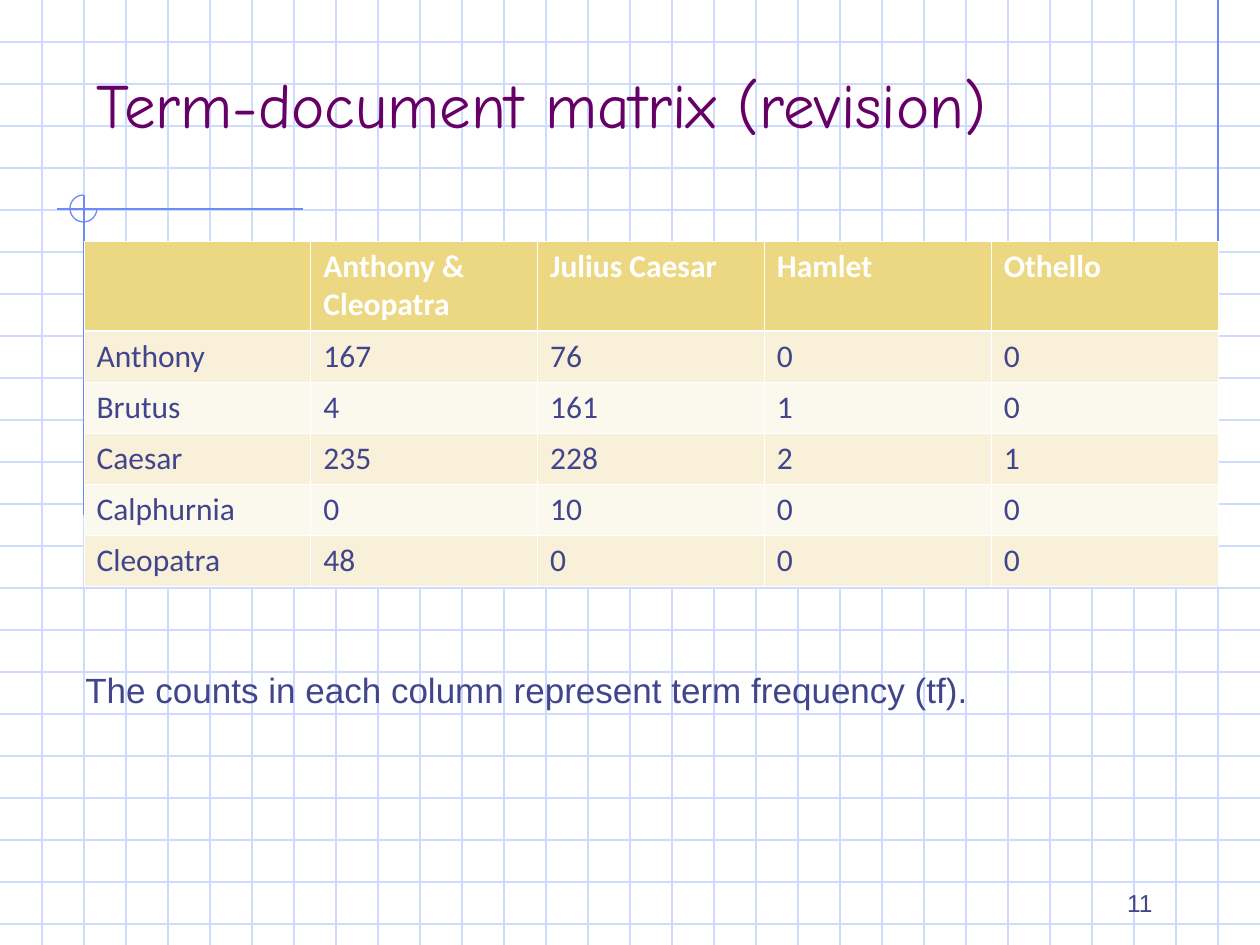
from dataclasses import dataclass

from lxml import etree
from pptx import Presentation
from pptx.dml.color import RGBColor
from pptx.enum.shapes import MSO_CONNECTOR, MSO_SHAPE
from pptx.enum.text import MSO_ANCHOR, PP_ALIGN
from pptx.oxml.ns import qn
from pptx.util import Pt

STRAIGHT = MSO_CONNECTOR.STRAIGHT
ARC = MSO_SHAPE.ARC
TOP, BASE = MSO_ANCHOR.TOP, MSO_ANCHOR.BOTTOM
LEFT, RIGHT = PP_ALIGN.LEFT, PP_ALIGN.RIGHT

WIDE, HIGH, STEP = 1260, 945, 42


@dataclass(frozen=True)
class Theme:
    grid: str = "CFDBFD"
    rule: str = "6F89F7"
    title: str = "660066"
    ink: str = "40458C"
    white: str = "FFFFFF"
    head: str = "ECD882"
    odd: str = "F8F0D8"
    even: str = "FBF8ED"
    fancy: str = "Comic Neue"
    sans: str = "Arial"
    cells: str = "Calibri"
    big: int = 36
    body: int = 20
    cell: int = 18
    small: int = 14
    line: float = 0.75
    thin: float = 0.45
    thick: float = 1.47


@dataclass(frozen=True)
class Box:
    x: int
    y: int
    w: int
    h: int


@dataclass(frozen=True)
class Rule:
    x1: int
    y1: int
    x2: int
    y2: int
    color: str


THEME = Theme()
ROWS = [
    ("", "Anthony & Cleopatra", "Julius Caesar", "Hamlet", "Othello"),
    ("Anthony", "167", "76", "0", "0"),
    ("Brutus", "4", "161", "1", "0"),
    ("Caesar", "235", "228", "2", "1"),
    ("Calphurnia", "0", "10", "0", "0"),
    ("Cleopatra", "48", "0", "0", "0"),
]
RULES = [
    *(Rule(0, y, WIDE, y, THEME.grid) for y in range(STEP, HIGH, STEP)),
    *(Rule(x, 0, x, HIGH, THEME.grid) for x in range(STEP, WIDE, STEP)),
    Rule(1218, 0, 1218, 325, THEME.rule),
    Rule(303, 209, 57, 209, THEME.rule),
    Rule(84, 195, 84, 515, THEME.rule),
]


def px(n: int) -> int:
    return round(n * 914400 / 126)


def rgb(color: str) -> RGBColor:
    return RGBColor.from_string(color)


def place(box: Box) -> tuple[int, ...]:
    return tuple(px(n) for n in (box.x, box.y, box.w, box.h))


def write(frame, text: str, *, font: str, size: int, color: str,
          bold: bool = False, align=LEFT, anchor=TOP) -> None:
    frame.word_wrap = True
    frame.vertical_anchor = anchor
    par = frame.paragraphs[0]
    par.alignment = align
    run = par.add_run()
    run.text = text
    run.font.name = font
    run.font.size = Pt(size)
    run.font.bold = bold
    run.font.color.rgb = rgb(color)


def label(slide, box: Box, text: str, **style) -> None:
    write(slide.shapes.add_textbox(*place(box)).text_frame, text, **style)


def draw(slide, rule: Rule) -> None:
    ends = (px(n) for n in (rule.x1, rule.y1, rule.x2, rule.y2))
    line = slide.shapes.add_connector(STRAIGHT, *ends)
    line.line.color.rgb = rgb(rule.color)
    line.line.width = Pt(THEME.line)
    etree.SubElement(line._element.spPr, qn("a:effectLst"))


def curve(slide, box: Box) -> None:
    # Three quarters of a circle, open at the upper right
    arc = slide.shapes.add_shape(ARC, *place(box))
    arc.adjustments[0] = 0
    arc.adjustments[1] = 162  # 270 degrees, in units of 100000
    arc.fill.background()
    arc.line.color.rgb = rgb(THEME.rule)
    arc.line.width = Pt(THEME.line)
    arc.shadow.inherit = False


def edge(cell, side: str, width: float) -> None:
    props = cell._tc.get_or_add_tcPr()
    line = etree.SubElement(props, qn(f"a:ln{side}"), w=str(Pt(width)))
    fill = etree.SubElement(line, qn("a:solidFill"))
    etree.SubElement(fill, qn("a:srgbClr"), val=THEME.white)


def matrix(slide, box: Box, head: int, row: int) -> None:
    cols = len(ROWS[0])
    table = slide.shapes.add_table(len(ROWS), cols, *place(box)).table
    table.horz_banding = False
    for col in table.columns:
        col.width = px(box.w) // cols
    for r, texts in enumerate(ROWS):
        top = r == 0
        table.rows[r].height = px(head if top else row)
        fill = THEME.head if top else THEME.odd if r % 2 else THEME.even
        for c, text in enumerate(texts):
            cell = table.cell(r, c)
            edge(cell, "L", THEME.thin)
            edge(cell, "R", THEME.thin)
            edge(cell, "T", THEME.thick if r == 1 else THEME.thin)
            edge(cell, "B", THEME.thick if top else THEME.thin)
            cell.fill.solid()
            cell.fill.fore_color.rgb = rgb(fill)
            if text:
                write(cell.text_frame, text, font=THEME.cells, size=THEME.cell,
                      color=THEME.white if top else THEME.ink, bold=top)


def main() -> None:
    deck = Presentation()
    deck.slide_width, deck.slide_height = px(WIDE), px(HIGH)
    slide = deck.slides.add_slide(deck.slide_layouts[6])

    # Squared paper and corner mark
    for rule in RULES:
        draw(slide, rule)
    curve(slide, Box(70, 195, 27, 27))

    # Title and page number
    label(slide, Box(84, 42, 1071, 105), "Term-document matrix (revision)",
          font=THEME.fancy, size=THEME.big, color=THEME.title, anchor=BASE)
    label(slide, Box(903, 861, 262, 63), "11", font=THEME.sans,
          size=THEME.small, color=THEME.ink, align=RIGHT, anchor=BASE)

    # Counts and the note below them
    matrix(slide, Box(84, 241, 1134, 345), head=90, row=51)
    label(slide, Box(73, 662, 955, 55),
          "The counts in each column represent term frequency (tf).",
          font=THEME.sans, size=THEME.body, color=THEME.ink)

    deck.save("out.pptx")


if __name__ == "__main__":
    main()
